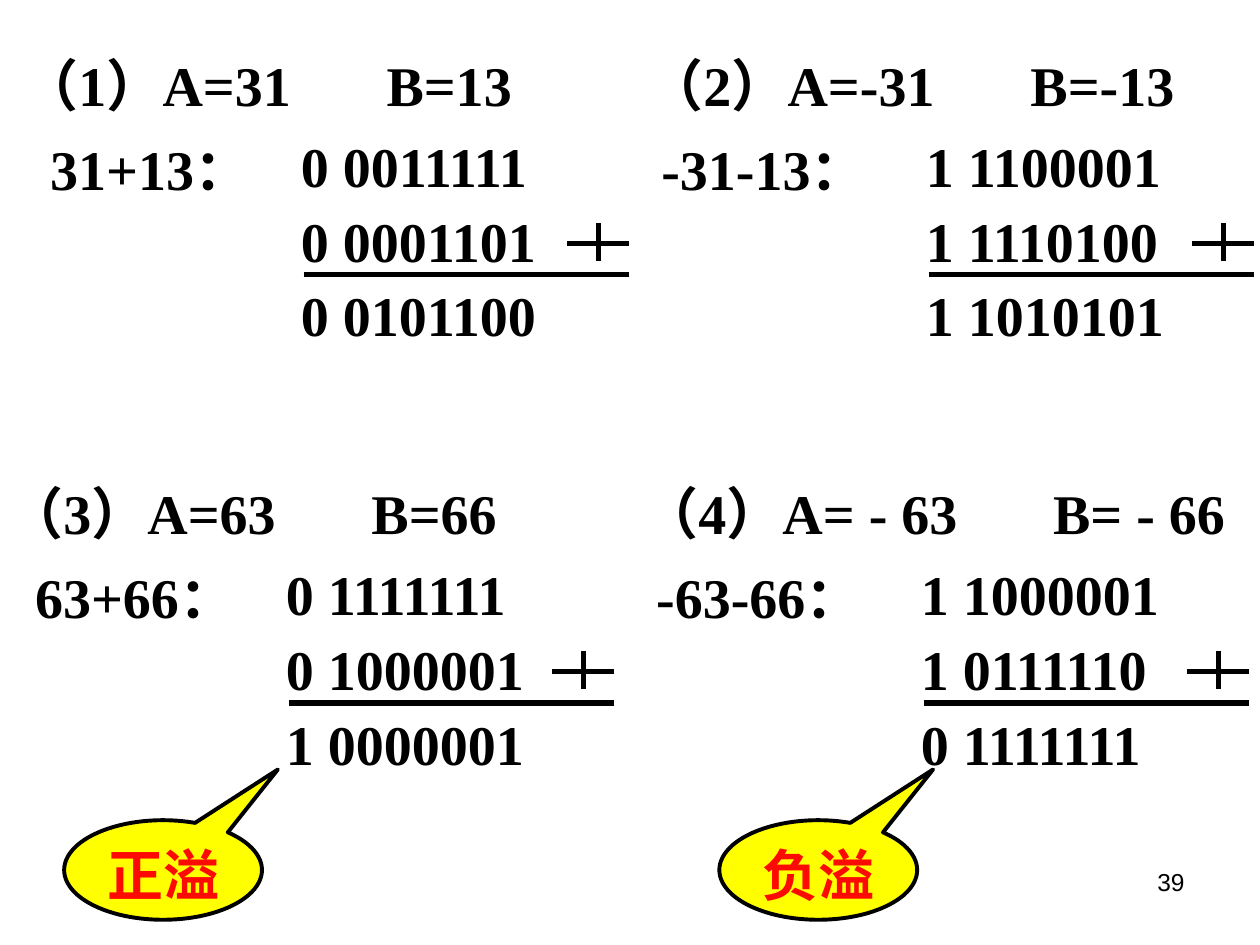
import pptx
import pptx.dml.color
import pptx.enum.shapes
import pptx.enum.text
import pptx.util
from lxml import etree
from pptx.util import Inches

COLORS = {"ink": "000000", "alert": "FC0A04", "callout": "FFFF00"}
SUMS = [
    (0.08, 0.35, "（1）A=31\tB=13", 2.89, "31+13：", 0.22,
     ["0 0011111", "0 0001101"], "0 0101100"),
    (5.04, 0.35, "（2）A=-31\tB=-13", 3.04, "-31-13：", 0.11,
     ["1 1100001", "1 1110100"], "1 1010101"),
    (-0.04, 3.75, "（3）A=63\tB=66", 2.89, "63+66：", 0.22,
     ["0 1111111", "0 1000001"], "1 0000001"),
    (5, 3.75, "（4）A= - 63\tB= - 66", 3.26, "-63-66：", 0.11,
     ["1 1000001", "1 0111110"], "0 1111111"),
]
CALLOUTS = [(0.51, "正溢"), (5.71, "负溢")]


def color(name):
    """Return the named palette colour."""
    return pptx.dml.color.RGBColor.from_string(COLORS[name])


def style(para, size=32, name="Times New Roman", bold=True, ink="ink"):
    """Format all the text of a paragraph."""
    para.font.size = pptx.util.Pt(size)
    para.font.name = name
    para.font.bold = bold
    para.font.color.rgb = color(ink)


def add_text(shapes, left, top, width, height, lines, spacings):
    """Add a text box with one paragraph per line and return its paragraphs."""
    box = shapes.add_textbox(*map(Inches, (left, top, width, height)))
    frame = box.text_frame
    frame.word_wrap = True
    for index, (line, spacing) in enumerate(zip(lines, spacings)):
        para = frame.add_paragraph() if index else frame.paragraphs[0]
        para.add_run().text = line
        para.line_spacing = spacing
        if index:
            para.space_before = pptx.util.Pt(20)
    return frame.paragraphs


def add_line(shapes, x1, y1, x2, y2):
    """Draw one plain black stroke."""
    line = shapes.add_connector(pptx.enum.shapes.MSO_CONNECTOR.STRAIGHT,
                                *map(Inches, (x1, y1, x2, y2)))
    line.line.color.rgb = color("ink")
    line.line.width = pptx.util.Pt(3)
    etree.SubElement(line._element.spPr, pptx.oxml.ns.qn("a:effectLst"))


def add_sum(page, left, top, given, tab, label, indent, operands, result):
    """Set out one binary addition from its top left corner."""
    shapes = page.shapes.add_group_shape().shapes
    column = left + 2.21
    operand_paras = add_text(shapes, column, top + 0.83, 2.7, 1.02, operands, [0.6, 0.6])
    heading, caption = add_text(shapes, left, top, 5.04, 1.29, [given, label], [1.0, 0.7])
    result_paras = add_text(shapes, column, top + 1.83, 2.83, 0.64, [result], [1.0])
    tabs = etree.SubElement(heading._p.get_or_add_pPr(), pptx.oxml.ns.qn("a:tabLst"))
    etree.SubElement(tabs, pptx.oxml.ns.qn("a:tab"), pos=str(Inches(tab)), algn="l")
    caption._p.get_or_add_pPr().set("marL", str(Inches(indent)))
    for para in (*operand_paras, heading, caption, *result_paras):
        style(para)
    for x1, y1, x2, y2 in [(4.42, 1.58, 4.91, 1.58), (4.67, 1.42, 4.67, 1.72),
                           (2.33, 1.83, 4.91, 1.83)]:
        add_line(shapes, left + x1, top + y1, left + x2, top + y2)


def add_callout(page, left, top, text):
    """Add a yellow balloon that points up to a result."""
    balloon = page.shapes.add_shape(pptx.enum.shapes.MSO_SHAPE.OVAL_CALLOUT,
                                    *map(Inches, (left, top, 1.57, 0.79)))
    balloon.adjustments[0] = 0.58
    balloon.adjustments[1] = -1.01
    balloon.shadow.inherit = False
    balloon.fill.solid()
    balloon.fill.fore_color.rgb = color("callout")
    balloon.line.color.rgb = color("ink")
    balloon.line.width = pptx.util.Pt(2.25)
    frame = balloon.text_frame
    frame.vertical_anchor = pptx.enum.text.MSO_ANCHOR.TOP
    para = frame.paragraphs[0]
    para.add_run().text = text
    para.alignment = pptx.enum.text.PP_ALIGN.CENTER
    style(para, ink="alert")


def add_page_number(page, left, top, number):
    """Add the page number in its corner box."""
    para = add_text(page.shapes, left, top, 2.33, 0.52, [number], [1.0])[0]
    para.alignment = pptx.enum.text.PP_ALIGN.RIGHT
    style(para, size=14, name="Arial", bold=False)


def main():
    """Build the deck and save it."""
    deck = pptx.Presentation()
    deck.slide_width, deck.slide_height = Inches(10), Inches(7.5)
    page = deck.slides.add_slide(deck.slide_layouts[6])
    add_page_number(page, 7.17, 6.83, "39")
    for values in SUMS:
        add_sum(page, *values)
    for left, text in CALLOUTS:
        add_callout(page, left, 6.51, text)
    deck.save("out.pptx")


if __name__ == "__main__":
    main()
